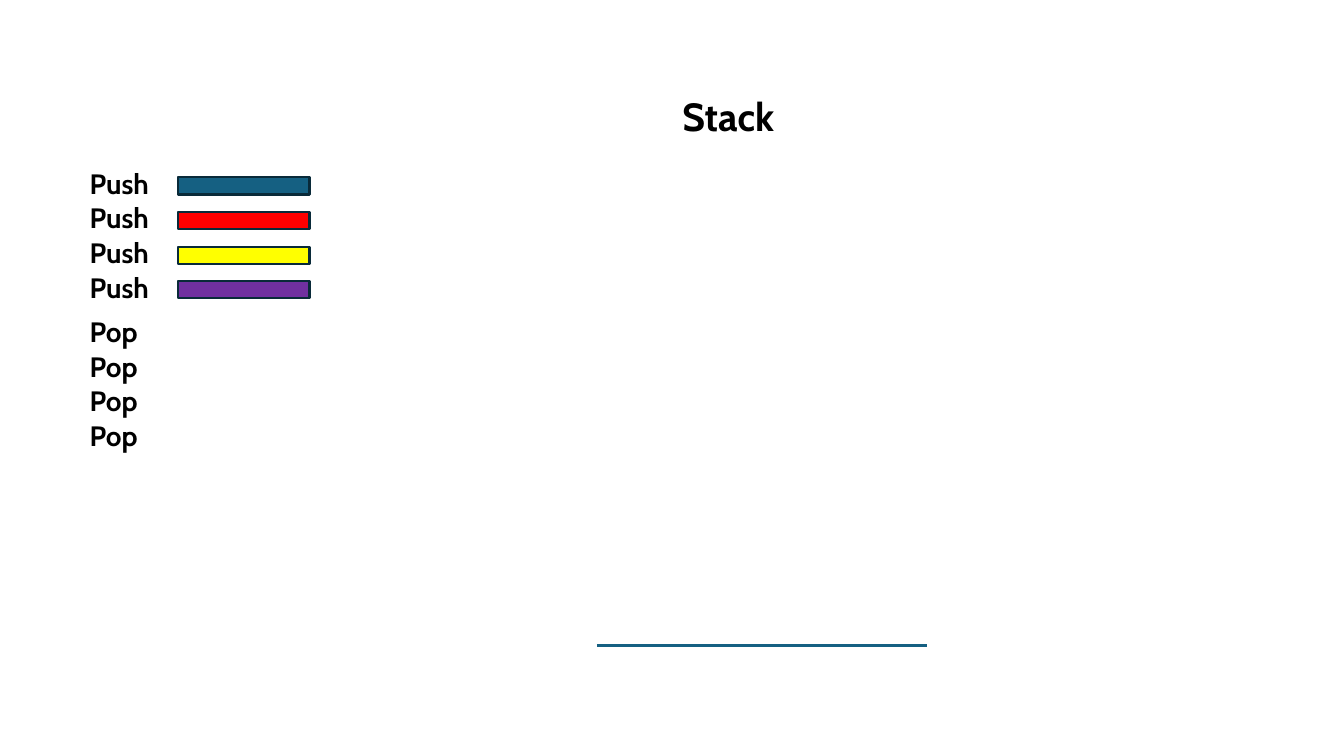
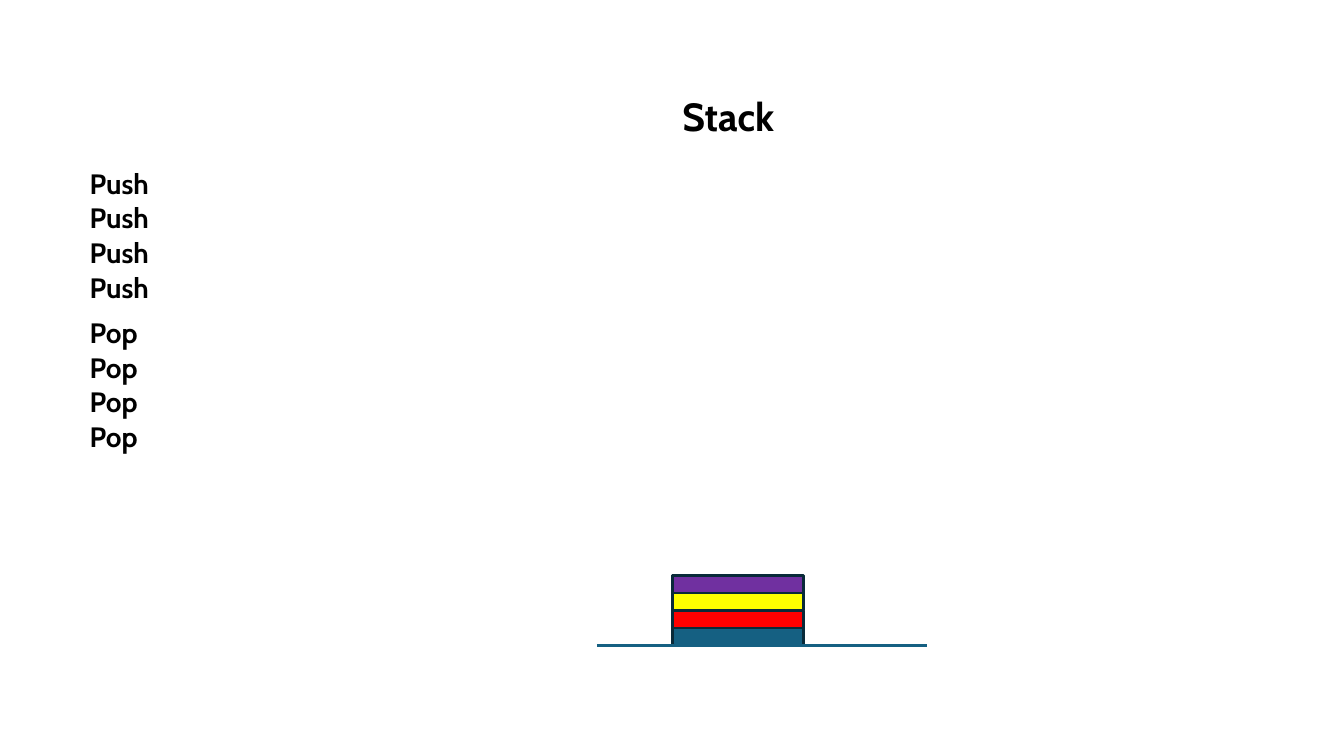
from pptx import Presentation
from pptx.dml.color import RGBColor
from pptx.enum.shapes import MSO_CONNECTOR as Connector, MSO_SHAPE as Shape
from pptx.enum.text import MSO_AUTO_SIZE as AutoSize
from pptx.oxml.ns import qn
from pptx.util import Inches, Pt

BLACK = RGBColor(0x00, 0x00, 0x00)
TEAL = RGBColor(0x15, 0x60, 0x82)
RED = RGBColor(0xFF, 0x00, 0x00)
YELLOW = RGBColor(0xFF, 0xFF, 0x00)
PURPLE = RGBColor(0x70, 0x30, 0xA0)
OUTLINE = RGBColor(0x09, 0x2A, 0x39)

FONT = "Cabin"
ITEM_COLORS = [TEAL, RED, YELLOW, PURPLE]
LABEL_LEFT, PUSH_TOP = 0.79, 1.6
ROW_STEP = 1.03 / 3
STACK_STEP = 0.52 / 3
ITEM_WIDTH, ITEM_HEIGHT = 1.3, 0.17
BASE_Y = 6.4


def add_label(page, text, left, top, width, height, size):
    box = page.shapes.add_textbox(Inches(left), Inches(top), Inches(width), Inches(height))
    frame = box.text_frame
    frame.word_wrap = False
    frame.auto_size = AutoSize.SHAPE_TO_FIT_TEXT
    span = frame.paragraphs[0].add_run()
    span.text = text
    span.font.name = FONT
    span.font.size = Pt(size)
    span.font.bold = True
    span.font.color.rgb = BLACK


def add_item(page, color, left, top):
    item = page.shapes.add_shape(
        Shape.RECTANGLE, Inches(left), Inches(top), Inches(ITEM_WIDTH), Inches(ITEM_HEIGHT)
    )
    item.shadow.inherit = False
    item.fill.solid()
    item.fill.fore_color.rgb = color
    item.line.color.rgb = OUTLINE
    item.line.width = Pt(1.5)


deck = Presentation()
deck.slide_width = Inches(13.33)
deck.slide_height = Inches(7.5)

states = [
    {"item_left": 1.77, "item_top": 1.76, "item_step": ROW_STEP, "pop_top": 3.07},
    {"item_left": 6.67, "item_top": 6.23, "item_step": -STACK_STEP, "pop_top": 3.08},
]

for state in states:
    page = deck.slides.add_slide(deck.slide_layouts[6])
    add_label(page, "Stack", 6.67, 0.87, 1.22, 0.57, 28)

    for index, color in enumerate(ITEM_COLORS):
        offset = index * ROW_STEP
        add_label(page, "Push", LABEL_LEFT, PUSH_TOP + offset, 0.84, 0.44, 20)
        add_label(page, "Pop", LABEL_LEFT, state["pop_top"] + offset, 0.69, 0.44, 20)
        add_item(page, color, state["item_left"], state["item_top"] + index * state["item_step"])

    base = page.shapes.add_connector(
        Connector.STRAIGHT, Inches(5.92), Inches(BASE_Y), Inches(9.19), Inches(BASE_Y)
    )
    base.line.color.rgb = TEAL
    base.line.width = Pt(2)
    properties = base._element.spPr
    properties.append(properties.makeelement(qn("a:effectLst"), {}))

deck.save("out.pptx")
